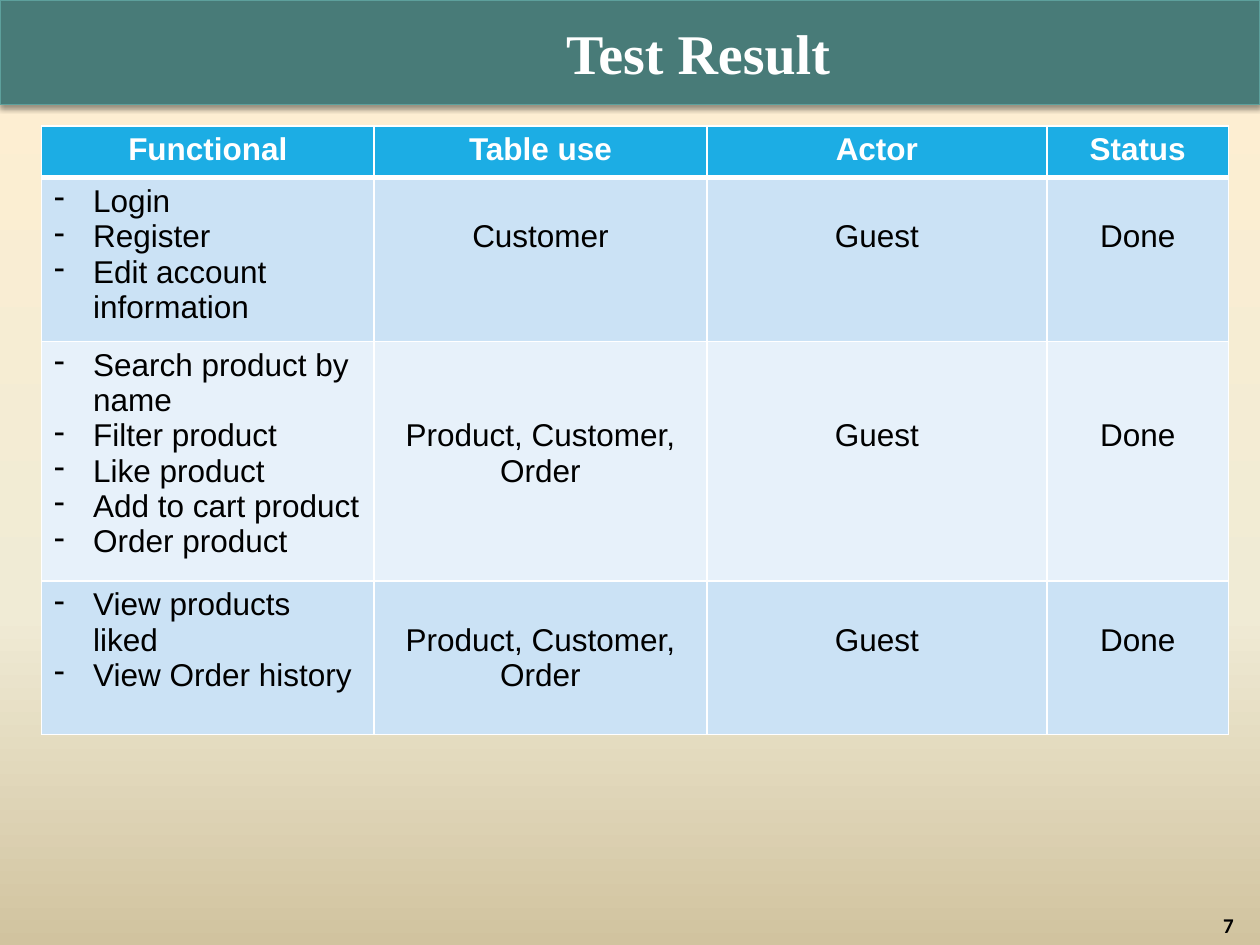
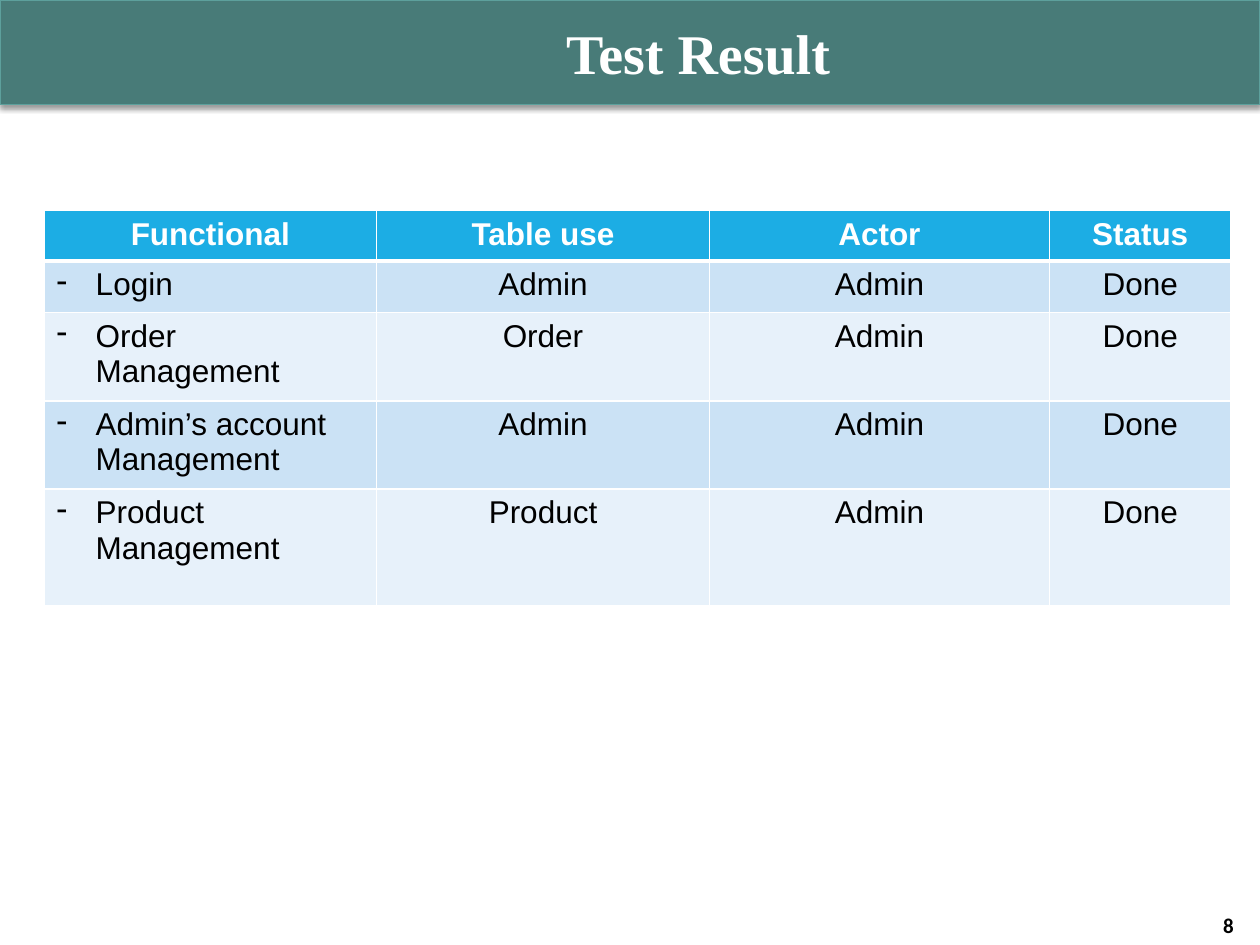
from lxml import etree
from pptx import Presentation
from pptx.dml.color import RGBColor
from pptx.enum.shapes import MSO_SHAPE as SHAPE
from pptx.enum.text import MSO_ANCHOR as ANCHOR, PP_ALIGN as ALIGN
from pptx.oxml import parse_xml
from pptx.oxml.ns import nsdecls, qn
from pptx.util import Inches, Pt

COLORS = {
    "band": "487B78", "band_line": "5DA09C", "white": "FFFFFF", "black": "000000",
    "header": "1CADE4", "odd": "CBE2F5", "even": "E7F1FA",
}
GRADIENT = [(0, "FFEFD1"), (65, "F0EBD5"), (100, "D1C39F")]
TITLE = {"name": "Times New Roman", "size": Pt(32), "bold": True}
NUMBER = {"name": "Calibri", "size": Pt(12), "bold": True}
HEAD = {"name": "Arial", "size": Pt(18), "bold": True}
BODY = {"name": "Arial", "size": Pt(18), "bold": False}
HEADINGS = ["Functional", "Table use", "Actor", "Status"]
COL_WIDTHS = [2.64, 2.64, 2.7, 1.44]
LINE_HEIGHT = 0.28

SLIDES = [
    {
        "number": 7, "gradient": True, "at": (0.33, 1), "header_height": 0.41,
        "rows": [
            (1.22, 1, ["Login", "Register", "Edit account information"],
             ["Customer", "Guest", "Done"]),
            (1.78, 2, ["Search product by name", "Filter product", "Like product",
                       "Add to cart product", "Order product"],
             ["Product, Customer, Order", "Guest", "Done"]),
            (1.22, 1, ["View products liked", "View Order history"],
             ["Product, Customer, Order", "Guest", "Done"]),
        ],
    },
    {
        "number": 8, "gradient": False, "at": (0.35, 1.67), "header_height": 0.38,
        "rows": [
            (0.41, 0, ["Login"], ["Admin", "Admin", "Done"]),
            (0.66, 0, ["Order Management"], ["Order", "Admin", "Done"]),
            (0.66, 0, ["Admin’s account Management"], ["Admin", "Admin", "Done"]),
            (0.93, 0, ["Product Management"], ["Product", "Admin", "Done"]),
        ],
    },
]


def write(tf, lines, style, color, align, bullets=False):
    tf.word_wrap = True
    for i, line in enumerate(lines):
        p = tf.paragraphs[0] if i == 0 else tf.add_paragraph()
        p.alignment = align
        r = p.add_run()
        r.text = line
        for name, value in style.items():
            setattr(r.font, name, value)
        r.font.color.rgb = RGBColor.from_string(COLORS[color])
        if bullets:
            pPr = p._p.get_or_add_pPr()
            pPr.set("marL", str(Inches(0.31)))
            pPr.set("indent", str(-Inches(0.31)))
            etree.SubElement(pPr, qn("a:buChar")).set("char", "-")


def style_cell(cell, fill, bottom):
    cell.fill.solid()
    cell.fill.fore_color.rgb = RGBColor.from_string(COLORS[fill])
    tcPr = cell._tc.get_or_add_tcPr()
    for i, (side, width) in enumerate(zip("LRTB", [1, 1, 1, bottom])):
        tcPr.insert(i, parse_xml(
            f'<a:ln{side} {nsdecls("a")} w="{Pt(width)}"><a:solidFill>'
            f'<a:srgbClr val="{COLORS["white"]}"/></a:solidFill></a:ln{side}>'))


prs = Presentation()
prs.slide_width, prs.slide_height = Inches(10), Inches(7.5)

for data in SLIDES:
    s = prs.slides.add_slide(prs.slide_layouts[6])
    bg = s.background.fill
    if data["gradient"]:
        bg.gradient()
        bg.gradient_angle = 270
        stops = s._element.find(".//" + qn("a:gsLst"))
        for stop in list(stops):
            stops.remove(stop)
        for pos, color in GRADIENT:
            stops.append(parse_xml(
                f'<a:gs {nsdecls("a")} pos="{pos * 1000}"><a:srgbClr val="{color}"/></a:gs>'))
    else:
        bg.solid()
        bg.fore_color.rgb = RGBColor.from_string(COLORS["white"])

    band = s.shapes.add_shape(SHAPE.RECTANGLE, 0, 0, prs.slide_width, Inches(0.83))
    band.fill.solid()
    band.fill.fore_color.rgb = RGBColor.from_string(COLORS["band"])
    band.line.color.rgb = RGBColor.from_string(COLORS["band_line"])
    band.line.width = Pt(0.75)
    band.shadow.inherit = False
    band._element.spPr.find(qn("a:effectLst")).append(parse_xml(
        f'<a:outerShdw {nsdecls("a")} blurRad="{Pt(3.1)}" dist="{Pt(1.6)}" dir="5400000" '
        f'rotWithShape="0"><a:srgbClr val="{COLORS["black"]}"><a:alpha val="38000"/>'
        '</a:srgbClr></a:outerShdw>'))

    number = s.shapes.add_textbox(Inches(0.12), Inches(7.25), Inches(9.77), Inches(0.18))
    number.text_frame.vertical_anchor = ANCHOR.MIDDLE
    write(number.text_frame, [str(data["number"])], NUMBER, "black", ALIGN.RIGHT)

    left, top = data["at"]
    height = data["header_height"] + sum(row[0] for row in data["rows"])
    table = s.shapes.add_table(len(data["rows"]) + 1, len(HEADINGS), Inches(left), Inches(top),
                               Inches(sum(COL_WIDTHS)), Inches(height)).table
    table.rows[0].height = Inches(data["header_height"])
    for col, (heading, width) in enumerate(zip(HEADINGS, COL_WIDTHS)):
        table.columns[col].width = Inches(width)
        cell = table.cell(0, col)
        write(cell.text_frame, [heading], HEAD, "white", ALIGN.CENTER)
        style_cell(cell, "header", 3)

    for i, (row_height, lines_down, functions, values) in enumerate(data["rows"], 1):
        table.rows[i].height = Inches(row_height)
        for col, lines in enumerate([functions] + [[value] for value in values]):
            cell = table.cell(i, col)
            first = col == 0
            write(cell.text_frame, lines, BODY, "black",
                  ALIGN.LEFT if first else ALIGN.CENTER, bullets=first)
            if not first:
                cell.margin_top = Inches(0.05 + lines_down * LINE_HEIGHT)
            style_cell(cell, "odd" if i % 2 else "even", 1)
            if i == 1:
                cell._tc.tcPr.find(qn("a:lnT")).set("w", str(Pt(3)))

    title = s.shapes.add_textbox(Inches(0.33), Inches(0.08), Inches(9.42), Inches(0.67))
    title.text_frame.vertical_anchor = ANCHOR.MIDDLE
    title.text_frame.margin_left = Inches(1.1)
    write(title.text_frame, ["Test Result"], TITLE, "white", ALIGN.CENTER)

prs.save("out.pptx")
